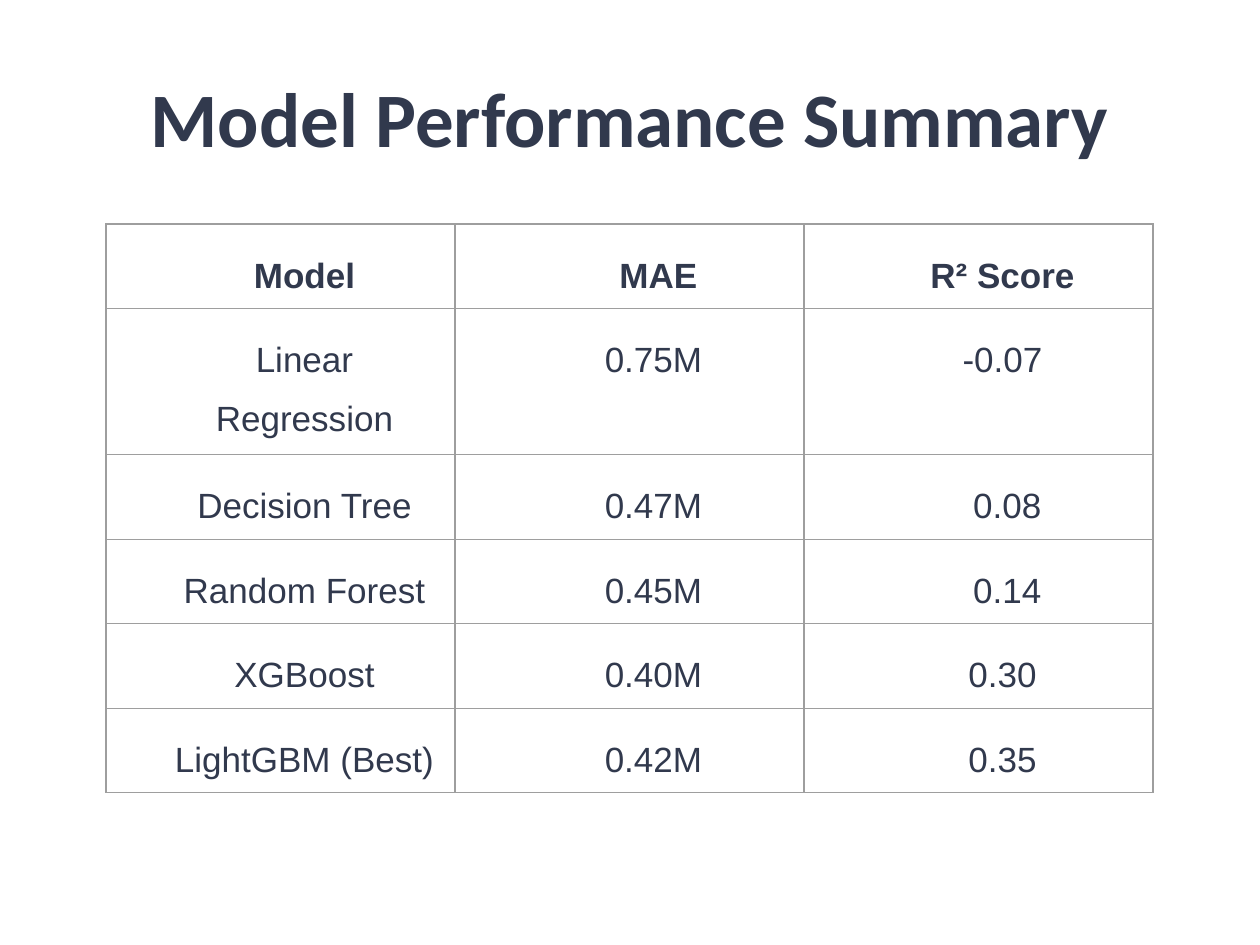
from pptx import Presentation
from pptx.dml.color import RGBColor
from pptx.enum.text import MSO_ANCHOR, PP_ALIGN
from pptx.oxml.xmlchemy import OxmlElement
from pptx.util import Emu, Pt

CENTER = PP_ALIGN.CENTER
TOP, MIDDLE = MSO_ANCHOR.TOP, MSO_ANCHOR.MIDDLE
TITLE_ONLY = 5
EMU_PER_PX = 914400 / 126

COLORS = {"ink": "31394D", "grid": "9E9E9E", "paper": "FFFFFF"}
TITLE_FONT = {"name": "Calibri", "size": Pt(44), "bold": True}
HEADER_FONT = {"name": "Arial", "size": Pt(20), "bold": True}
BODY_FONT = {**HEADER_FONT, "bold": False}
CELL_MARGINS = {f"margin_{side}": 13 for side in ("left", "top", "right", "bottom")}
CELL_INDENT = 48

SCORES = [
    ("Model", " MAE", "R² Score"),
    ("Linear Regression", "0.75M", "-0.07"),
    ("Decision Tree", "0.47M", " 0.08"),
    ("Random Forest", "0.45M", " 0.14"),
    ("XGBoost", "0.40M", "0.30"),
    ("LightGBM (Best)", "0.42M", "0.35"),
]
ROW_HEIGHT, TWO_LINE_HEIGHT = 76, 146
ROW_HEIGHTS = [TWO_LINE_HEIGHT if row[0] == "Linear Regression" else ROW_HEIGHT
               for row in SCORES]
COLUMN_WIDTH = 349


def px(length):
    return Emu(round(length * EMU_PER_PX))


def apply(target, values):
    for name, value in values.items():
        setattr(target, name, value)


class SlideBuilder:
    def __init__(self, slide):
        self.slide = slide
        background = slide.background.fill
        background.solid()
        background.fore_color.rgb = RGBColor.from_string(COLORS["paper"])

    def text(self, frame, wording, font, spacing):
        paragraph = frame.paragraphs[0]
        apply(paragraph, {"alignment": CENTER, **spacing})
        run = paragraph.add_run()
        run.text = wording
        apply(run.font, font)
        run.font.color.rgb = RGBColor.from_string(COLORS["ink"])
        return paragraph

    def title(self, wording, left, top, width, height):
        heading = self.slide.shapes.title
        apply(heading, {"left": px(left), "top": px(top),
                        "width": px(width), "height": px(height)})
        heading.text_frame.vertical_anchor = MIDDLE
        self.text(heading.text_frame, wording, TITLE_FONT, {})

    def borders(self, cell):
        properties = cell._tc.get_or_add_tcPr()
        for side in ("L", "R", "T", "B"):
            line = OxmlElement(f"a:ln{side}")
            line.set("w", str(Pt(0.75)))
            fill = OxmlElement("a:solidFill")
            color = OxmlElement("a:srgbClr")
            color.set("val", COLORS["grid"])
            fill.append(color)
            line.append(fill)
            properties.append(line)

    def cell(self, cell, wording, font, spacing):
        self.borders(cell)
        cell.fill.background()
        apply(cell, {name: px(value) for name, value in CELL_MARGINS.items()})
        cell.vertical_anchor = TOP
        paragraph = self.text(cell.text_frame, wording, font, spacing)
        indent = paragraph._p.get_or_add_pPr()
        indent.set("marL", str(px(CELL_INDENT)))
        indent.set("indent", "0")

    def table(self, rows, left, top, column_width, row_heights):
        columns = len(rows[0])
        table = self.slide.shapes.add_table(
            len(rows), columns, px(left), px(top),
            px(column_width * columns), px(sum(row_heights))).table
        apply(table, {"first_row": False, "horz_banding": False})
        for column in table.columns:
            column.width = px(column_width)
        for r, (values, height) in enumerate(zip(rows, row_heights)):
            table.rows[r].height = px(height)
            spacing = {"line_spacing": 1.5}
            if r > 0:
                spacing["space_before"] = Pt(6.4)
            if r == len(rows) - 1:
                spacing["space_after"] = Pt(12)
            font = BODY_FONT if r else HEADER_FONT
            for c, value in enumerate(values):
                self.cell(table.cell(r, c), value, font, spacing)


def main():
    deck = Presentation()
    deck.slide_width, deck.slide_height = px(1260), px(945)
    builder = SlideBuilder(deck.slides.add_slide(deck.slide_layouts[TITLE_ONLY]))

    # Heading
    builder.title("Model Performance Summary", 63, 38, 1134, 157)

    # Scores per model
    builder.table(SCORES, 106, 224, COLUMN_WIDTH, ROW_HEIGHTS)

    deck.save("out.pptx")


if __name__ == "__main__":
    main()
